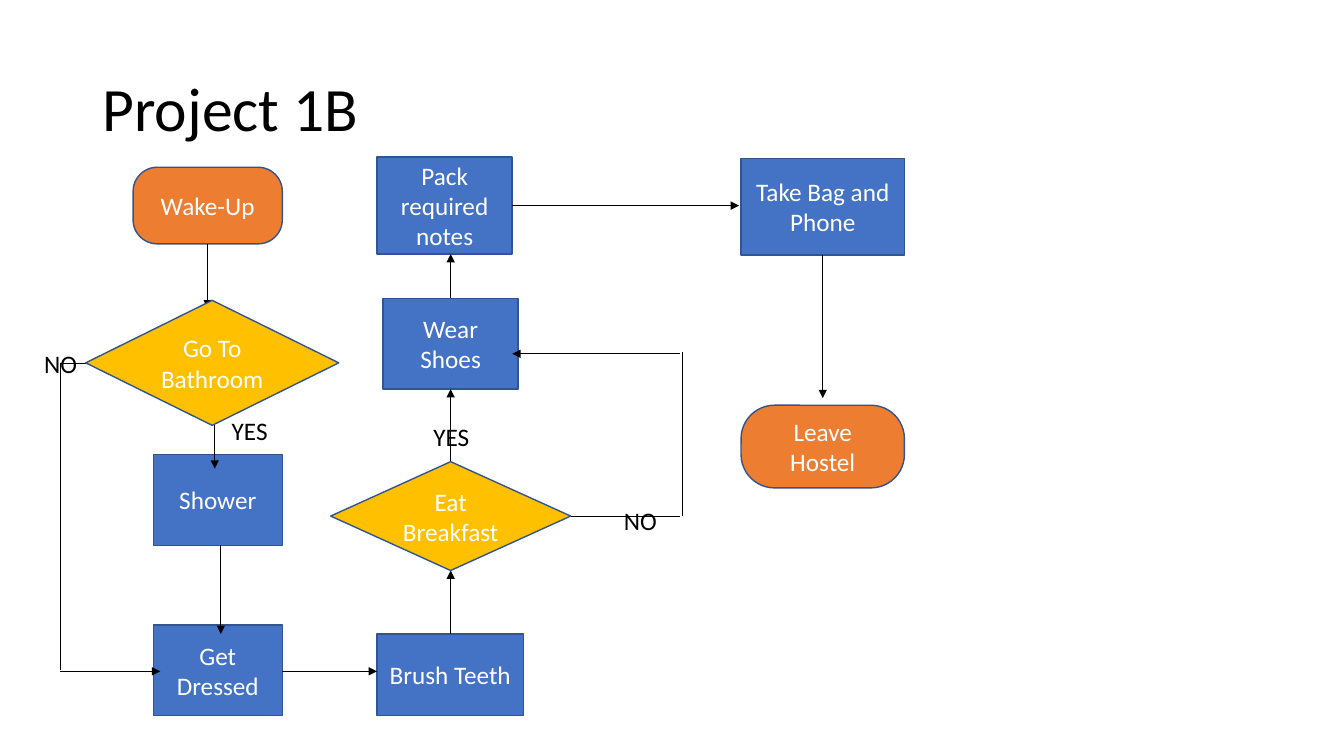
from lxml.etree import SubElement
from pptx import Presentation
from pptx.dml.color import RGBColor
from pptx.enum.shapes import MSO_CONNECTOR, MSO_SHAPE
from pptx.enum.text import MSO_ANCHOR, PP_ALIGN
from pptx.oxml.ns import qn
from pptx.util import Inches, Pt

BLACK = RGBColor(0, 0, 0)
WHITE = RGBColor(255, 255, 255)
BLUE = RGBColor(0x44, 0x72, 0xC4)
ORANGE = RGBColor(0xED, 0x7D, 0x31)
GOLD = RGBColor(0xFF, 0xC0, 0x00)
OUTLINE = RGBColor(0x32, 0x54, 0x91)

KINDS = {
    "terminal": (MSO_SHAPE.ROUNDED_RECTANGLE, ORANGE),
    "process": (MSO_SHAPE.RECTANGLE, BLUE),
    "decision": (MSO_SHAPE.FLOWCHART_DECISION, GOLD),
}
CORNERS = {"Wake-Up": 0.315, "Leave Hostel": 0.404}
STEPS = {
    "Wake-Up": ("terminal", 1.32, 1.66, 1.48, 0.76),
    "Go To Bathroom": ("decision", 0.85, 2.98, 2.51, 1.24),
    "Shower": ("process", 1.52, 4.51, 1.28, 0.9),
    "Get Dressed": ("process", 1.52, 6.2, 1.28, 0.9),
    "Brush Teeth": ("process", 3.74, 6.29, 1.45, 0.81),
    "Eat Breakfast": ("decision", 3.28, 4.58, 2.38, 1.08),
    "Wear Shoes": ("process", 3.8, 2.96, 1.34, 0.9),
    "Pack required notes": ("process", 3.74, 1.56, 1.34, 0.96),
    "Take Bag and Phone": ("process", 7.35, 1.57, 1.62, 0.96),
    "Leave Hostel": ("terminal", 7.35, 4.02, 1.62, 0.82),
}
FLOWS = [
    ("Wake-Up", "down", "Go To Bathroom", 2.06, 0.08),
    ("Go To Bathroom", "down", "Shower", 2.13, 0.14),
    ("Shower", "down", "Get Dressed", 2.19, 0.09),
    ("Get Dressed", "right", "Brush Teeth", 6.66, 0),
    ("Brush Teeth", "up", "Eat Breakfast", 4.47, 0),
    ("Eat Breakfast", "up", "Wear Shoes", 4.47, 0),
    ("Wear Shoes", "up", "Pack required notes", 4.47, 0),
    ("Pack required notes", "right", "Take Bag and Phone", 2.04, -0.02),
    ("Take Bag and Phone", "down", "Leave Hostel", 8.16, -0.07),
]
NO_BRANCHES = [
    [((5.66, 5.12), (6.74, 5.12)), ((6.77, 5.12), (6.77, 3.49)), ((6.74, 3.51), (5.08, 3.51))],
    [((0.85, 3.6), (0.6, 3.6)), ((0.6, 3.6), (0.6, 6.65)), ((0.6, 6.66), (1.59, 6.66))],
]
LABELS = [
    ("YES", 4.2, 4.13, 0.7),
    ("NO", 6.09, 4.96, 0.57),
    ("NO", 0.34, 3.41, 0.58),
    ("YES", 2.2, 4.07, 0.7),
]

deck = Presentation()
deck.slide_width, deck.slide_height = Inches(13.33), Inches(7.5)
page = deck.slides.add_slide(deck.slide_layouts[6])


def write(box, text, size=18, color=BLACK, align=PP_ALIGN.LEFT, anchor=MSO_ANCHOR.TOP, spacing=1.0):
    frame = box.text_frame
    frame.word_wrap = True
    frame.vertical_anchor = anchor
    para = frame.paragraphs[0]
    para.alignment = align
    para.line_spacing = spacing
    span = para.add_run()
    span.text = text
    span.font.name = "Calibri"
    span.font.size = Pt(size)
    span.font.color.rgb = color


def add_text(text, left, top, width, height, **style):
    box = page.shapes.add_textbox(Inches(left), Inches(top), Inches(width), Inches(height))
    write(box, text, **style)


def add_step(name):
    kind, *place = STEPS[name]
    preset, fill = KINDS[kind]
    shape = page.shapes.add_shape(preset, *map(Inches, place))
    shape.shadow.inherit = False
    shape.fill.solid()
    shape.fill.fore_color.rgb = fill
    shape.line.color.rgb = OUTLINE
    shape.line.width = Pt(1)
    if name in CORNERS:
        shape.adjustments[0] = CORNERS[name]
    write(shape, name, color=WHITE, align=PP_ALIGN.CENTER, anchor=MSO_ANCHOR.MIDDLE)


def add_line(start, end, arrow=True):
    line = page.shapes.add_connector(MSO_CONNECTOR.STRAIGHT, *map(Inches, (*start, *end)))
    line.line.color.rgb = BLACK
    line.line.width = Pt(0.5)
    if arrow:
        SubElement(line.line._get_or_add_ln(), qn("a:tailEnd"), type="triangle")
    SubElement(line._element.spPr, qn("a:effectLst"))


def add_flow(source, direction, target, track, overlap):
    _, left, top, width, height = STEPS[source]
    _, next_left, next_top, _, next_height = STEPS[target]
    if direction == "down":
        add_line((track, top + height), (track, next_top + overlap))
    elif direction == "up":
        add_line((track, top), (track, next_top + next_height - overlap))
    else:
        add_line((left + width, track), (next_left + overlap, track))


add_text("Project 1B", 0.92, 0.38, 11.5, 1.45, size=44, anchor=MSO_ANCHOR.MIDDLE, spacing=0.9)
decisions = [name for name in STEPS if STEPS[name][0] == "decision"]
for name in STEPS:
    if name not in decisions:
        add_step(name)
for flow in FLOWS:
    add_flow(*flow)
for branch in NO_BRANCHES:
    for start, end in branch:
        add_line(start, end, arrow=(start, end) == branch[-1])
for name in decisions:
    add_step(name)
for text, left, top, width in LABELS:
    add_text(text, left, top, width, 0.4)

deck.save("out.pptx")
